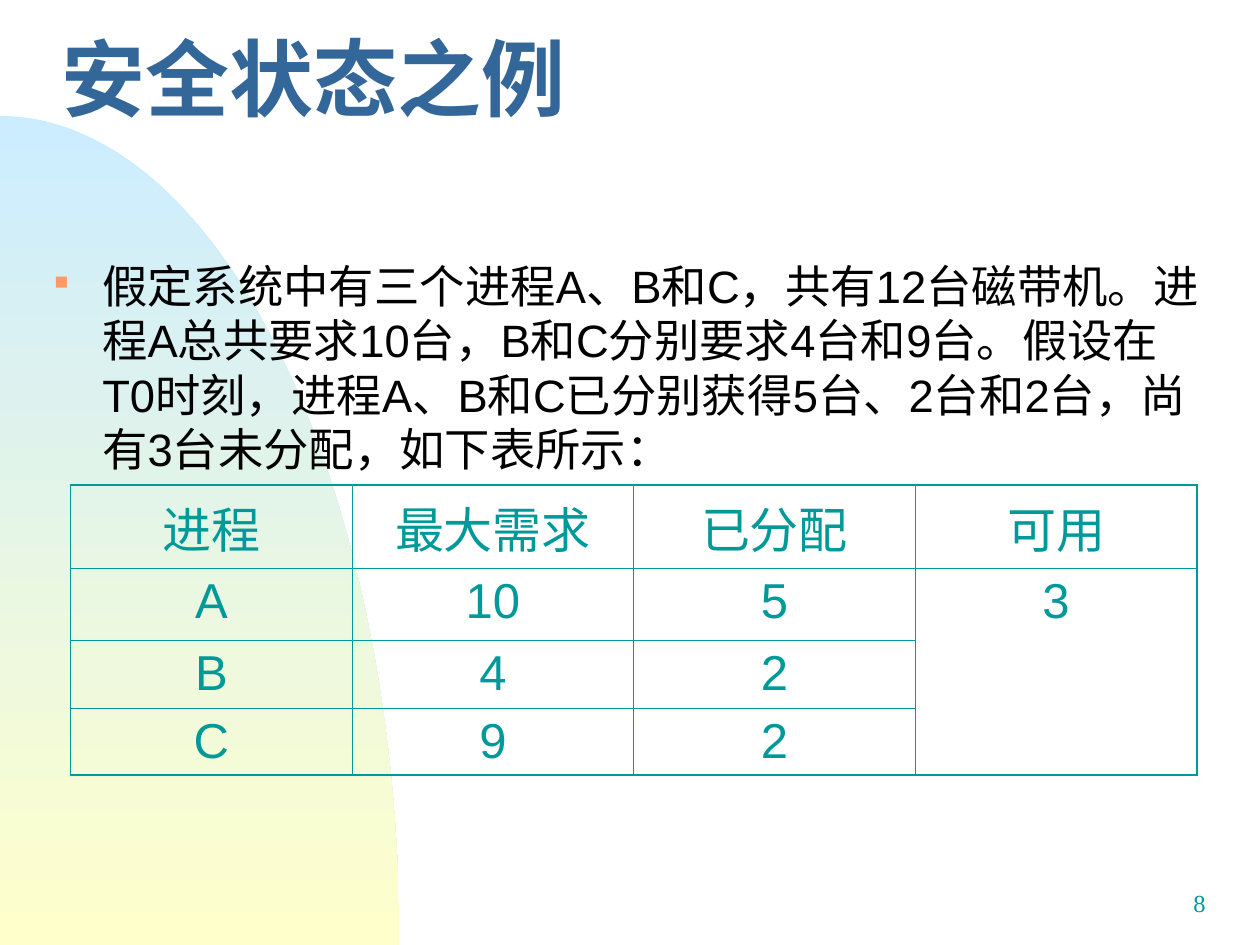
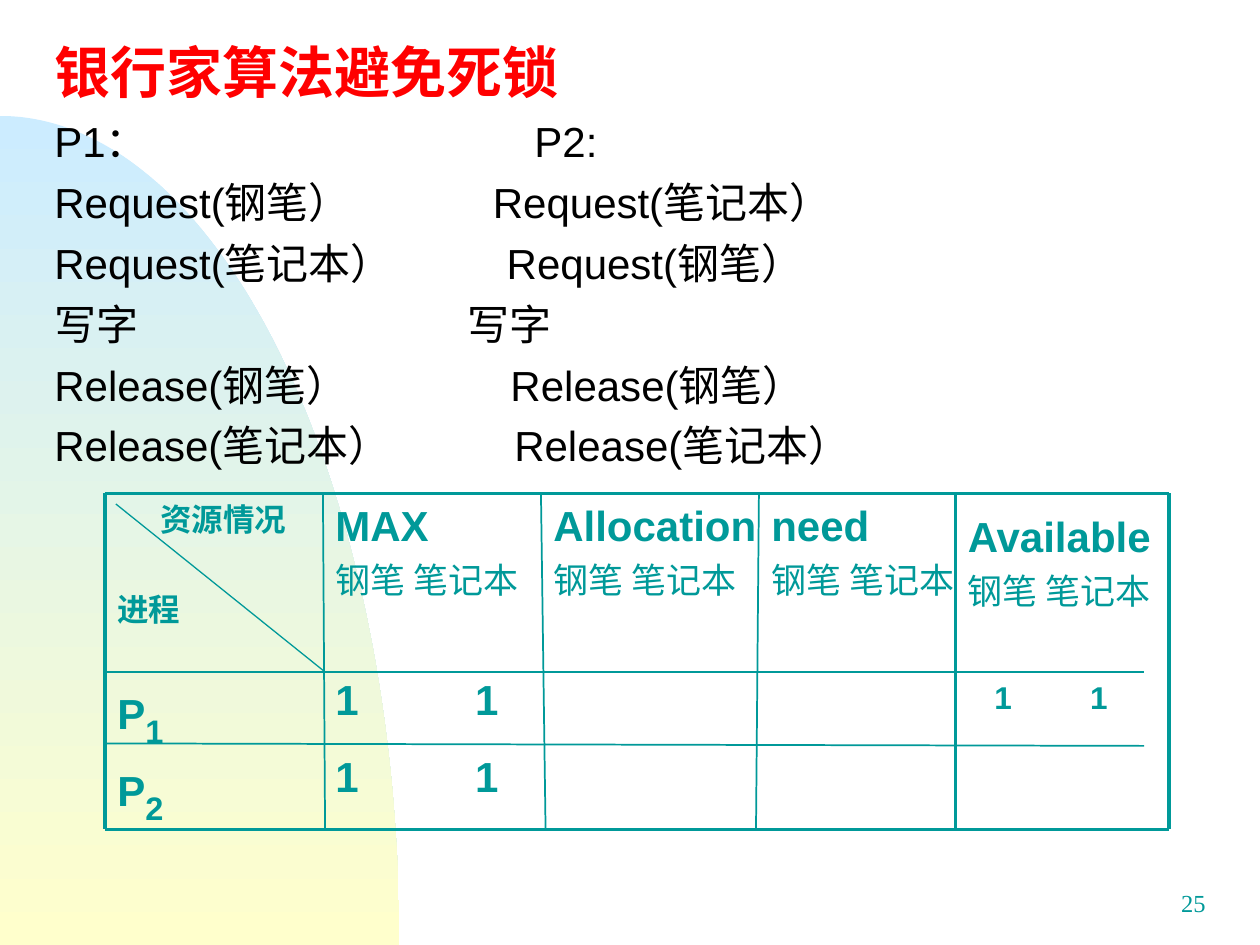
import math

import pptx
import pptx.dml.color
import pptx.enum.dml
import pptx.enum.shapes
import pptx.enum.text
import pptx.oxml
import pptx.oxml.ns
import pptx.util
from pptx.util import Inches

COLORS = {
    "teal": "009999", "blue": "336699", "red": "FF0000", "black": "000000",
    "bullet": "FF9966", "sky": "CCECFF", "cream": "FFFFCC",
}
ALIGN = pptx.enum.text.PP_ALIGN
MIDDLE = pptx.enum.text.MSO_ANCHOR.MIDDLE
WIDTH, HEIGHT = 10, 7.5
MARGIN = 1 / 3

# Slide 1
TITLE = "安全状态之例"
INTRO = ("假定系统中有三个进程A、B和C，共有12台磁带机。进程A总共要求10台，B和C分别要求4台和9台。"
         "假设在T0时刻，进程A、B和C已分别获得5台、2台和2台，尚有3台未分配，如下表所示：")
DEMAND = [
    ["进程", "最大需求", "已分配", "可用"],
    ["A", "10", "5", "3"],
    ["B", "4", "2", ""],
    ["C", "9", "2", ""],
]
DEMAND_AT = (0.56, 3.85, 8.94, 2.3)
DEMAND_ROWS = [0.66, 0.57, 0.54, 0.53]

# Slide 2
BANKER_TITLE = "银行家算法避免死锁"
STEPS = [  # P1 step, P2 step, tab stop of the P2 step
    ("P1：", "P2:", 3.81),
    ("Request(钢笔）", "Request(笔记本）", 3.48),
    ("Request(笔记本）", "Request(钢笔）", 3.59),
    ("写字", "写字", 3.28),
    ("Release(钢笔）", "Release(钢笔）", 3.62),
    ("Release(笔记本）", "Release(笔记本）", 3.65),
]
RESOURCES = "钢笔 笔记本"
CORNER = ("资源情况", "进程")
LEFT, TOP, RIGHT, BOTTOM = 5 / 6, 47 / 12, 9.28, 79 / 12
COLUMN, HEADER_HEIGHT, ROW_HEIGHT = 1.73, 1.38, 0.61
AVAILABLE = 91 / 12
HEADER_LINE = 16 / 3
HEADERS = [  # heading, left, top, width
    ("MAX", LEFT + COLUMN, TOP, COLUMN),
    ("Allocation", LEFT + 2 * COLUMN, TOP, 1.81),
    ("need", LEFT + 3 * COLUMN, TOP, COLUMN),
    ("Available", AVAILABLE, 4, COLUMN),
]
PROCESSES = ["1", "2"]
RULES = [  # x1, y1, x2, y2, width
    (LEFT, TOP, RIGHT, TOP, 2.25),
    (LEFT, HEADER_LINE, 9.08, HEADER_LINE, 1),
    (LEFT, 5.9, 9.08, 5.92, 1),
    (LEFT, BOTTOM, RIGHT, BOTTOM, 2.25),
    (LEFT, TOP, LEFT, BOTTOM, 2.25),
    (LEFT + COLUMN, TOP, 2.58, BOTTOM, 1),
    (LEFT + 2 * COLUMN, TOP, 4.33, BOTTOM, 1),
    (LEFT + 3 * COLUMN, TOP, 6, BOTTOM, 1),
    (AVAILABLE, TOP, AVAILABLE, BOTTOM, 2.25),
    (0.92, 4, 2.58, HEADER_LINE, 0.75),
    (RIGHT, TOP, RIGHT, BOTTOM, 2.25),
]


def rgb(name):
    return pptx.dml.color.RGBColor.from_string(COLORS[name])


def add_xml(parent, xml, index=None):
    namespace = pptx.oxml.ns.nsdecls("a")
    element = pptx.oxml.parse_xml(xml.replace("@", namespace, 1))
    parent.insert(len(parent) if index is None else index, element)


def style_span(span, size, color="teal", bold=False, font="Arial"):
    span.font.size = pptx.util.Pt(size)
    span.font.name = font
    span.font.bold = bold
    span.font.color.rgb = rgb(color)


def line(text, size, before=0, align=ALIGN.LEFT, tabs=(), indent=0, **style):
    """Describe one paragraph for add_text."""
    return dict(text=text, size=size, before=before, align=align, tabs=tabs,
                indent=indent, style=style)


def add_text(page, left, top, width, height, lines, anchor=None):
    box = page.shapes.add_textbox(Inches(left), Inches(top), Inches(width), Inches(height))
    frame = box.text_frame
    frame.word_wrap = True
    if anchor is not None:
        frame.vertical_anchor = anchor
    frame.text = "\n".join(item["text"] for item in lines)
    for para, item in zip(frame.paragraphs, lines):
        para.alignment = item["align"]
        para.space_before = pptx.util.Pt(item["before"])
        properties = para._p.get_or_add_pPr()
        properties.set("hangingPunct", "0")
        if item["indent"]:
            properties.set("marL", str(Inches(item["indent"])))
        if item["tabs"]:
            stops = "".join(f'<a:tab pos="{Inches(stop)}" algn="l"/>' for stop in item["tabs"])
            add_xml(properties, f"<a:tabLst @>{stops}</a:tabLst>")
        for span in para.runs:
            style_span(span, item["size"], **item["style"])
    return frame


def add_page(deck, number):
    """Add a slide with the shared quarter ellipse and page number."""
    page = deck.slides.add_slide(deck.slide_layouts[6])
    radius_x, radius_y, steps = 3.17, 6.58, 90
    angles = [math.pi / 2 * step / steps for step in range(steps + 1)]
    arc = [(Inches(radius_x * math.sin(a)), Inches(HEIGHT - radius_y * math.cos(a)))
           for a in angles]
    builder = page.shapes.build_freeform(*arc[0])
    builder.add_line_segments(arc[1:] + [(0, Inches(HEIGHT))], close=True)
    curve = builder.convert_to_shape()
    curve.shadow.inherit = False
    curve.line.fill.background()
    curve.fill.gradient()
    curve.fill.gradient_angle = 270
    for stop, position, name in zip(curve.fill.gradient_stops, (0, 1), ("sky", "cream")):
        stop.position = position
        stop.color.rgb = rgb(name)
    add_text(page, 91 / 12, 7, 25 / 12, 0.5,
             [line(str(number), 14, align=ALIGN.RIGHT, font="Times New Roman")])
    return page


def set_borders(cell, row, column, last_row, last_column):
    """Draw thick lines on the table's outside and thin ones inside."""
    outside = {"L": column == 0, "R": column == last_column, "T": row == 0,
               "B": row == last_row or (column == last_column and row > 0)}
    for index, (side, thick) in enumerate(outside.items()):
        width = pptx.util.Pt(1.08 if thick else 0.45)
        add_xml(cell._tc.get_or_add_tcPr(),
                f'<a:ln{side} @ w="{width}"><a:solidFill><a:srgbClr val="{COLORS["teal"]}"/>'
                f'</a:solidFill></a:ln{side}>', index)


def add_demand_table(page):
    rows, columns = len(DEMAND), len(DEMAND[0])
    table = page.shapes.add_table(rows, columns, *map(Inches, DEMAND_AT)).table
    table.first_row = table.horz_banding = False
    for row, height in zip(table.rows, DEMAND_ROWS):
        row.height = Inches(height)
    for r, values in enumerate(DEMAND):
        for c, value in enumerate(values):
            cell = table.cell(r, c)
            cell.fill.background()
            set_borders(cell, r, c, rows - 1, columns - 1)
            cell.margin_bottom = Inches(0.05 if r == 0 else 0.01)
            cell.text = value
            para = cell.text_frame.paragraphs[0]
            para.alignment = ALIGN.CENTER
            para.space_before = pptx.util.Pt(7)
            for span in para.runs:
                style_span(span, 28)
    table.cell(1, columns - 1).merge(table.cell(rows - 1, columns - 1))


def add_rule(page, x1, y1, x2, y2, width):
    rule = page.shapes.add_connector(pptx.enum.shapes.MSO_CONNECTOR.STRAIGHT,
                                     Inches(x1), Inches(y1), Inches(x2), Inches(y2))
    rule.line.color.rgb = rgb("teal")
    rule.line.width = pptx.util.Pt(width)
    add_xml(rule._element.spPr, "<a:effectLst @/>")


def build_safe_state(deck):
    page = add_page(deck, 8)
    title = add_text(page, 0.39, 0.17, 9.44, 1.08,
                     [line(TITLE, 48, color="blue", bold=True, font="Arial Narrow")], MIDDLE)
    title.paragraphs[0].line_spacing = 0.7
    intro = add_text(page, MARGIN, 2, 9.31, 1.98,
                     [line(INTRO, 25.9, before=7, indent=0.38, color="black")])
    properties = intro.paragraphs[0]._p.get_or_add_pPr()
    properties.set("indent", str(Inches(-0.38)))
    add_xml(properties, f'<a:buClr @><a:srgbClr val="{COLORS["bullet"]}"/></a:buClr>')
    add_xml(properties, '<a:buSzPct @ val="42000"/>')
    add_xml(properties, '<a:buChar @ char="■"/>')
    add_demand_table(page)


def build_banker(deck):
    page = add_page(deck, 25)
    steps = [line(f"{first}\t{second}", 24, before=6, tabs=[stop], color="black")
             for first, second, stop in STEPS]
    add_text(page, MARGIN, 0.25, 9.34, 6,
             [line(BANKER_TITLE, 32, before=8, color="red", bold=True)] + steps)

    add_text(page, LEFT, TOP, COLUMN, HEADER_HEIGHT,
             [line(CORNER[0], 18, before=4.5, indent=0.34, bold=True),
              line(CORNER[1], 18, before=30, bold=True)])
    for heading, left, top, width in HEADERS:
        add_text(page, left, top, width, HEADER_HEIGHT,
                 [line(heading, 24, before=6, bold=True), line(RESOURCES, 20, before=5)])
    for index, number in enumerate(PROCESSES):
        top = TOP + HEADER_HEIGHT + index * ROW_HEIGHT
        name = add_text(page, LEFT, top, COLUMN, ROW_HEIGHT,
                        [line("P", 24, before=8, bold=True)])
        subscript = name.paragraphs[0].add_run()
        subscript.text = number
        style_span(subscript, 32, bold=True)
        subscript.font._element.set("baseline", "-25000")
        add_text(page, LEFT + COLUMN, top, COLUMN, ROW_HEIGHT,
                 [line("1\t1", 24, before=6, tabs=[1.11], bold=True)])
    add_text(page, AVAILABLE, HEADER_LINE, 1.5, 0.4,
             [line("\t1\t1", 18, before=11.2, tabs=[0.21, 0.97], bold=True)])
    for rule in RULES:
        add_rule(page, *rule)


def main():
    deck = pptx.Presentation()
    deck.slide_width, deck.slide_height = Inches(WIDTH), Inches(HEIGHT)
    build_safe_state(deck)
    build_banker(deck)
    deck.save("out.pptx")


if __name__ == "__main__":
    main()
